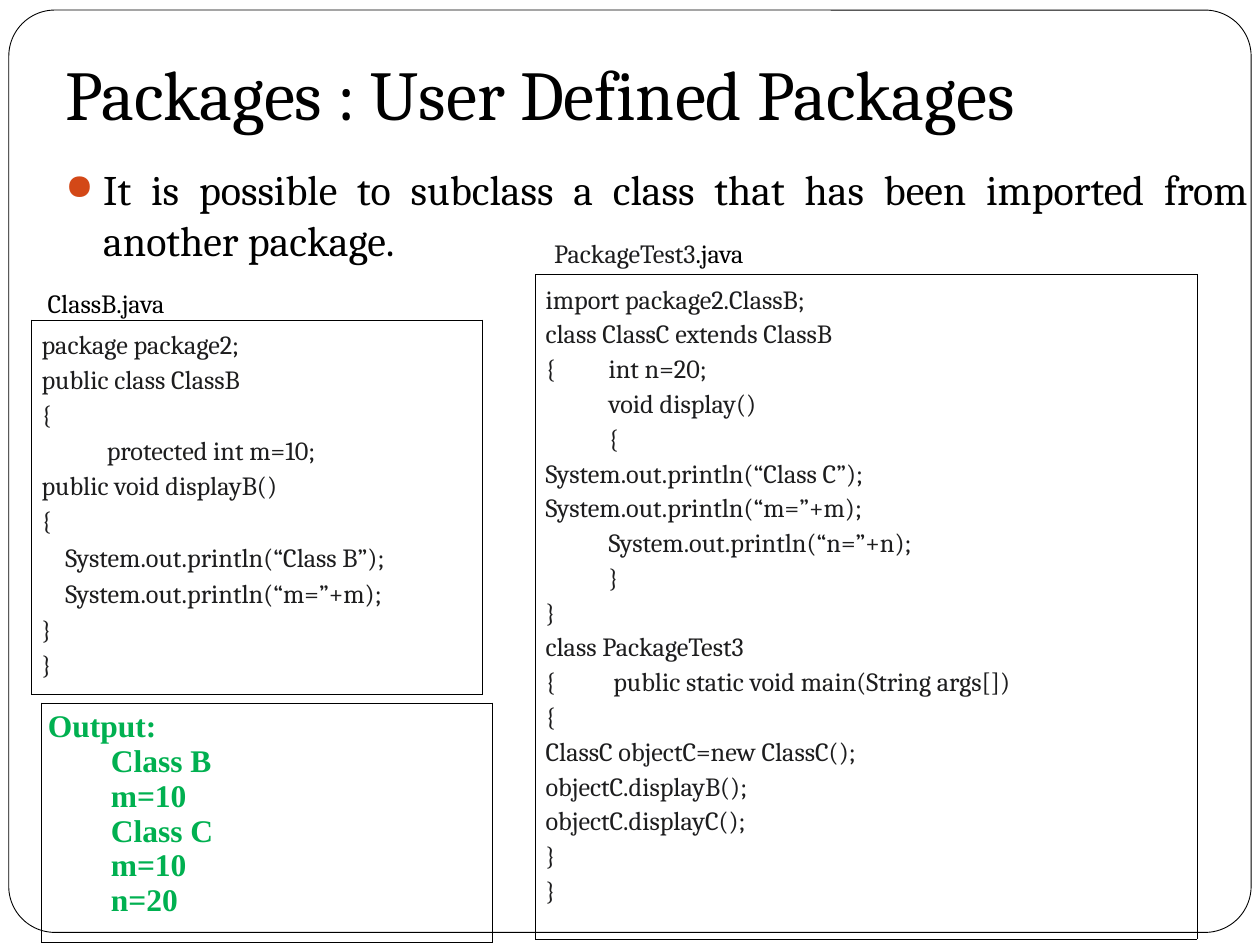
"""Build the slide on user defined packages with two code listings and their output."""
from lxml import etree
from pptx import Presentation
from pptx.dml.color import RGBColor
from pptx.enum.shapes import MSO_SHAPE
from pptx.enum.text import MSO_ANCHOR, PP_ALIGN
from pptx.oxml import parse_xml
from pptx.oxml.ns import nsdecls, qn
from pptx.util import Inches, Pt

ROUND_RECT = MSO_SHAPE.ROUNDED_RECTANGLE
BOTTOM = MSO_ANCHOR.BOTTOM
LEFT, JUSTIFY = PP_ALIGN.LEFT, PP_ALIGN.JUSTIFY
BLACK, INK, GREEN = "000000", "1D1D1E", "00B050"


def rgb(value):
    return RGBColor.from_string(value)


def add_run(p, text, size, color, font="Cambria", bold=False):
    r = p.add_run()
    r.text = text
    r.font.color.rgb = rgb(color)
    for name, value in {"size": Pt(size), "name": font, "bold": bold}.items():
        setattr(r.font, name, value)


prs = Presentation()
prs.slide_width, prs.slide_height = Inches(10), Inches(7.5)
slide = prs.slides.add_slide(prs.slide_layouts[5])

frame = slide.shapes.add_shape(ROUND_RECT, Inches(0.07), Inches(0.08), Inches(9.86), Inches(7.32))
frame.adjustments[0] = 0.05
frame.shadow.inherit = False
frame.fill.solid()
frame.fill.fore_color.rgb = rgb("FFFFFF")
frame.line.color.rgb = rgb(BLACK)
frame.line.width = Pt(0.5)
slide.shapes._spTree.insert(2, frame._element)

title = slide.shapes.title
title.left, title.top, title.width, title.height = (Inches(v) for v in (0.42, 0.3, 9.25, 0.87))
tf = title.text_frame
tf.vertical_anchor = BOTTOM
tf.margin_bottom = Inches(0.1)
p = tf.paragraphs[0]
p.alignment = LEFT
add_run(p, "Packages : User Defined Packages", 40, BLACK)

body = slide.shapes.add_textbox(Inches(0.42), Inches(1.25), Inches(9.58), Inches(6))
tf = body.text_frame
tf.word_wrap = True
p = tf.paragraphs[0]
p.alignment = JUSTIFY
pPr = p._p.get_or_add_pPr()
pPr.set("marL", str(Inches(0.3)))
pPr.set("indent", str(Inches(-0.3)))
color = etree.SubElement(pPr, qn("a:buClr"))
etree.SubElement(color, qn("a:srgbClr"), val="D34817")
etree.SubElement(pPr, qn("a:buSzPct"), val="85000")
etree.SubElement(pPr, qn("a:buChar"), char="●")
add_run(p, "It is possible to subclass a class that has been imported from another package.", 24, BLACK)

class_b = [
    "package package2;",
    "public class ClassB",
    "{",
    "           protected int m=10;",
    "public void displayB()",
    "{",
    "    System.out.println(“Class B”);",
    "    System.out.println(“m=”+m);",
    "}",
    "}",
]
package_test = [
    "import package2.ClassB;",
    "class ClassC extends ClassB",
    "{\tint n=20;",
    "\tvoid display()",
    "\t{",
    "System.out.println(“Class C”);",
    "System.out.println(“m=”+m);",
    "\tSystem.out.println(“n=”+n);",
    "\t}",
    "}",
    "class PackageTest3",
    "{          public static void main(String args[])",
    "{",
    "ClassC objectC=new ClassC();",
    "objectC.displayB();",
    "objectC.displayC();",
    "}",
    "}",
]
output = ["Output:", "\tClass B", "\tm=10", "\tClass C", "\tm=10", "\tn=20"]

code_style = {"size": 15, "color": INK}
output_style = {"size": 18, "color": GREEN, "font": "Times New Roman", "bold": True}
panels = [
    ((0.25, 2.54, 3.58, 2.87), class_b, code_style, JUSTIFY, 1.15, 0.08),
    ((4.25, 2.18, 5.25, 5.18), package_test, code_style, JUSTIFY, 1.15, 0.08),
    ((0.33, 5.58, 3.58, 1.8), output, output_style, LEFT, 1.0, 0.05),
]
for box, lines, style, align, spacing, inset in panels:
    table = slide.shapes.add_table(1, 1, *(Inches(v) for v in box)).table
    table.first_row = table.horz_banding = False
    cell = table.cell(0, 0)
    cell.margin_left = cell.margin_right = Inches(inset)
    tcPr = cell._tc.get_or_add_tcPr()
    for side in "LRTB":
        tcPr.append(parse_xml(
            f'<a:ln{side} {nsdecls("a")} w="{Pt(0.45)}"><a:solidFill>'
            f'<a:srgbClr val="{BLACK}"/></a:solidFill></a:ln{side}>'))
    cell.fill.background()
    tf = cell.text_frame
    for i, line in enumerate(lines):
        p = tf.add_paragraph() if i else tf.paragraphs[0]
        p.alignment = align
        p.line_spacing = spacing
        code = line.lstrip(" ")
        indent = line[:len(line) - len(code)]
        if indent:
            add_run(p, indent, 15, INK, "Calibri")
        add_run(p, code, **style)

labels = [
    ((0.28, 2.23, 1.13, 0.35), [("ClassB.java", BLACK)]),
    ((4.3, 1.83, 1.73, 0.35), [("PackageTest3", INK), (".java", BLACK)]),
]
for box, runs in labels:
    s = slide.shapes.add_textbox(*(Inches(v) for v in box))
    s.text_frame.word_wrap = False
    for text, shade in runs:
        add_run(s.text_frame.paragraphs[0], text, 15, shade)

prs.save("out.pptx")
